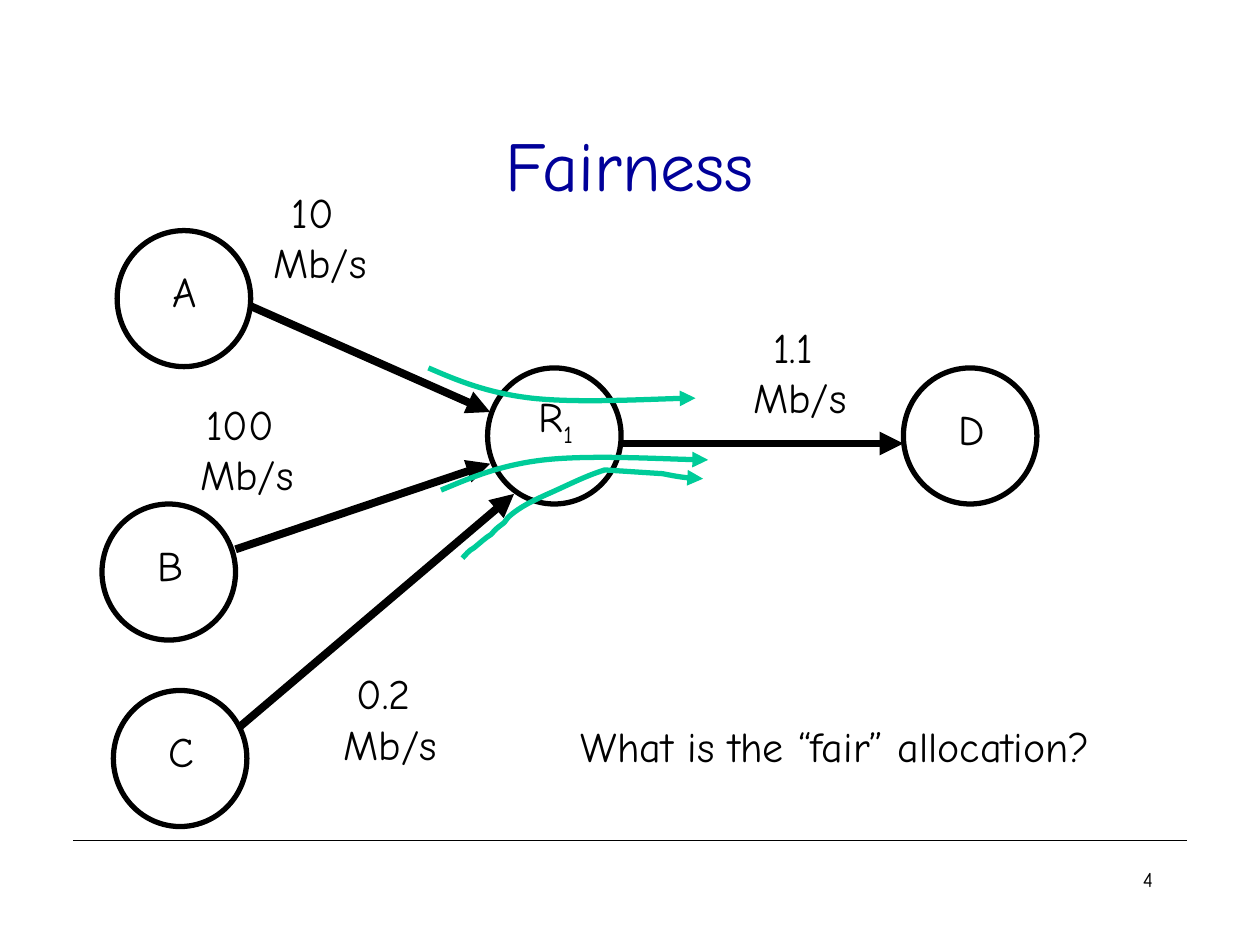
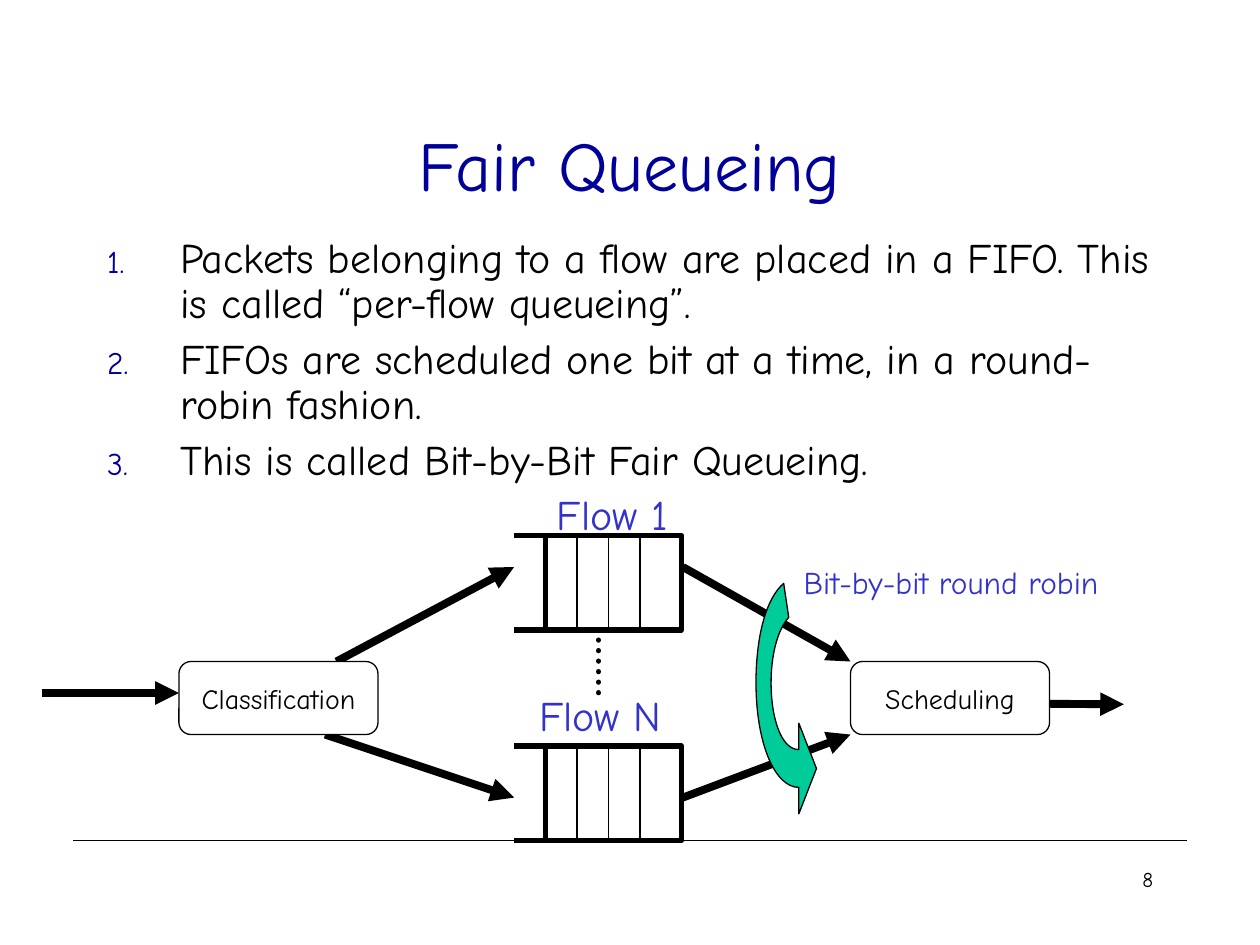
import pptx
import pptx.util
import pptx.dml.color
import pptx.enum.dml
import pptx.enum.shapes
import pptx.enum.text
import pptx.oxml.ns
import pptx.oxml.xmlchemy

Inches, Pt = pptx.util.Inches, pptx.util.Pt
PRESET = pptx.enum.shapes.MSO_SHAPE
ALIGN = pptx.enum.text.PP_ALIGN
ANCHOR = pptx.enum.text.MSO_ANCHOR
qn = pptx.oxml.ns.qn
new_element = pptx.oxml.xmlchemy.OxmlElement

# Shared look
WIDTH, HEIGHT = 10, 7.5
FONT = "Comic Neue"
COLORS = {"ink": "000000", "title": "000099", "flow": "3333CC",
          "green": "00CC99", "paper": "FFFFFF"}
TITLE_BOX = (0.75, 0.67, 8.5, 1.25)
BODY_BOX = (0.75, 1.83, 8.5, 2.08)
NUMBER_BOX = (7.17, 6.83, 2.08, 0.5)
FOOTER_Y, FOOTER_MARGIN = 6.67, 0.58
THIN, OUTLINE, ARROW = 0.75, 3, 4.5

# Content: network of hosts sharing one router
NODE_SIZE = (1.06, 1.08)
LABEL_SIZE = (0.4, 0.5)
NODES = [  # label, subscript, left, top, rise of the label above centre
    ("R", "1", 3.87, 2.92, 0.13), ("D", "", 7.17, 2.92, 0.06),
    ("A", "", 0.93, 1.83, 0.06), ("B", "", 0.81, 4, 0.06),
    ("C", "", 0.9, 5.48, 0.06)]
LINK_FROM_C = ((1.83, 5.83), (4.08, 3.92))
LINKS = [((4.93, 3.52), (7.17, 3.52)), ((1.99, 2.43), (3.89, 3.27)),
         ((1.87, 4.36), (3.89, 3.68))]
RATE_SIZE = (0.94, 0.9)
RATES = [("1.1 ", 5.88, 2.5), ("10 ", 2.07, 1.43),
         ("100 ", 1.49, 3.11), ("0.2 ", 2.63, 5.25)]
QUESTION = ("What is the “fair” allocation?", (4.51, 5.67, 4.24, 0.5))

# Curves: start point, then steps of one point (line) or three (Bezier)
FLOW_B = [(3.5, 3.89), [(3.74, 3.79), (3.97, 3.69), (4.32, 3.65)],
          [(4.68, 3.61), (5.4, 3.65), (5.62, 3.65)]]
FLOW_A = [(3.4, 2.92), [(3.63, 3.02), (3.87, 3.12), (4.22, 3.16)],
          [(4.58, 3.2), (5.3, 3.16), (5.52, 3.16)]]
FLOW_C = [(3.67, 4.43), [(3.7, 4.4), (3.72, 4.37), (3.76, 4.35)],
          [(3.81, 4.31), (3.85, 4.27), (3.9, 4.24)],
          [(3.93, 4.2), (3.96, 4.18), (4, 4.15)],
          [(4.01, 4.14), (4.02, 4.12), (4.04, 4.1)],
          [(4.13, 4.02), (4.24, 3.97), (4.35, 3.92)],
          [(4.51, 3.85), (4.64, 3.78), (4.8, 3.73)],
          [(4.95, 3.74), (5.1, 3.75), (5.26, 3.76)],
          [(5.36, 3.78), (5.47, 3.8), (5.58, 3.8)]]
ROUND_ROBIN = [(6.34, 5.95), [(6.2, 5.95), (6.12, 5.7), (6.12, 5.42)],
               [(6.12, 5.2), (6.17, 5), (6.26, 4.9)], [(6.22, 4.63)],
               [(6.08, 4.75), (6, 5.05), (6, 5.42)],
               [(6, 5.9), (6.15, 6.25), (6.34, 6.25)],
               [(6.34, 6.46)], [(6.48, 6.1)], [(6.34, 5.74)]]
CURVE_GRID = 100  # curve units to the inch

# Content: fair queueing
STEPS = [
    "Packets belonging to a flow are placed in a FIFO. This is called “per-flow queueing”.",
    "FIFOs are scheduled one bit at a time, in a round-robin fashion.",
    "This is called Bit-by-Bit Fair Queueing."]
QUEUE_LEFT, QUEUE_WIDTH, QUEUE_HEIGHT, SLOT = 4.33, 1.08, 0.75, 0.25
QUEUE_TOPS = (5.92, 4.25)
FLOW_NAMES = [("Flow 1", (4.32, 3.83, 1.08, 0.5)),
              ("Flow N", (4.18, 5.42, 1.17, 0.5))]
STAGE_TOP, STAGE_SIZE = 5.25, (1.58, 0.58)
STAGES = [("Classification", 1.42), ("Scheduling", 6.75)]
PACKET_ARROWS = [((5.42, 4.5), (6.75, 5.25)), ((5.42, 6.33), (6.75, 5.83)),
                 ((7.5, 5.58), (8.92, 5.59)), ((2.67, 5.25), (4.08, 4.5)),
                 ((2.58, 5.83), (4.08, 6.33)), ((0.33, 5.5), (1.42, 5.5))]
ROBIN_LABEL = ("Bit-by-bit round robin", (6.28, 4.42, 2.55, 0.4))


def rgb(name):
    return pptx.dml.color.RGBColor.from_string(COLORS[name])


def add_child(parent, tag, **attributes):
    child = new_element(tag)
    for name, value in attributes.items():
        child.set(name, value)
    parent.append(child)
    return child


def place(shape, box):
    shape.left, shape.top, shape.width, shape.height = map(Inches, box)


def write(shape, lines, size=24, color="ink", align=ALIGN.CENTER,
          anchor=ANCHOR.MIDDLE, wrap=False, subscript=""):
    """Fill a shape with one paragraph per line."""
    frame = shape.text_frame
    frame.auto_size = pptx.enum.text.MSO_AUTO_SIZE.NONE
    frame.word_wrap, frame.vertical_anchor = wrap, anchor
    frame.text = "\n".join(lines)
    if subscript:
        run = frame.paragraphs[-1].add_run()
        run.text = subscript
        run.font._element.set("baseline", "-25000")
    for paragraph in frame.paragraphs:
        paragraph.alignment = align
        for run in paragraph.runs:
            run.font.name, run.font.size = FONT, Pt(size)
            run.font.color.rgb = rgb(color)


def add_text(slide, lines, box, **text_format):
    text_box = slide.shapes.add_textbox(*map(Inches, box))
    write(text_box, lines, **text_format)


def style_line(line, width, color="ink", arrow=False, dotted=False):
    line.fill.solid()
    line.fill.fore_color.rgb = rgb(color)
    line.width = Pt(width)
    outline = line._get_or_add_ln()
    if dotted:
        line.dash_style = pptx.enum.dml.MSO_LINE.ROUND_DOT
        outline.set("cap", "rnd")
    if arrow:
        add_child(outline, "a:tailEnd", type="triangle")


def style_shape(shape, fill=None, width=THIN, color="ink", arrow=False):
    shape.shadow.inherit = False
    if fill:
        shape.fill.solid()
        shape.fill.fore_color.rgb = rgb(fill)
    else:
        shape.fill.background()
    style_line(shape.line, width, color, arrow)


def add_line(shapes, start, end, width, **line_format):
    connector = shapes.add_connector(
        pptx.enum.shapes.MSO_CONNECTOR.STRAIGHT, *map(Inches, start + end))
    style_line(connector.line, width, **line_format)
    add_child(connector._element.spPr, "a:effectLst")
    return connector


def add_preset(shapes, preset, box, **shape_format):
    shape = shapes.add_shape(preset, *map(Inches, box))
    style_shape(shape, **shape_format)
    return shape


def add_curve(slide, curve, closed=False, **shape_format):
    start, *steps = curve
    builder = slide.shapes.build_freeform(
        *(CURVE_GRID * value for value in start), scale=Inches(1) / CURVE_GRID)
    builder.add_line_segments(
        [(CURVE_GRID * x, CURVE_GRID * y) for step in steps for x, y in step], close=closed)
    shape = builder.convert_to_shape()
    # Merge each three-point step into one Bezier segment
    segments = iter(list(shape._element.iter(qn("a:lnTo"))))
    for step in steps:
        parts = [next(segments) for _ in step]
        if len(parts) == 3:
            bezier = new_element("a:cubicBezTo")
            parts[0].addprevious(bezier)
            for part in parts:
                bezier.append(part[0])
                part.getparent().remove(part)
    style_shape(shape, **shape_format)


def add_slide(presentation, layout, title, number):
    slide = presentation.slides.add_slide(presentation.slide_layouts[layout])
    place(slide.shapes.title, TITLE_BOX)
    write(slide.shapes.title, [title], size=40, color="title", wrap=True)
    add_text(slide, [number], NUMBER_BOX, size=12, align=ALIGN.RIGHT,
             anchor=ANCHOR.TOP, wrap=True)
    return slide


def add_steps(body):
    place(body, BODY_BOX)
    write(body, STEPS, align=ALIGN.LEFT, anchor=ANCHOR.TOP, wrap=True)
    for paragraph in body.text_frame.paragraphs:
        paragraph.line_spacing, paragraph.space_before = 0.9, Pt(6)
        properties = paragraph._p.get_or_add_pPr()
        properties.set("marL", str(Inches(0.58)))
        properties.set("indent", str(Inches(-0.58)))
        bullet_color = add_child(properties, "a:buClr")
        add_child(bullet_color, "a:srgbClr", val=COLORS["title"])
        add_child(properties, "a:buSzPct", val="75000")
        add_child(properties, "a:buFont", typeface=FONT)
        add_child(properties, "a:buAutoNum", type="arabicPeriod")


def add_queue(slide, top):
    shapes = slide.shapes.add_group_shape().shapes
    bottom = top + QUEUE_HEIGHT
    add_preset(shapes, PRESET.RECTANGLE,
               (QUEUE_LEFT, top, QUEUE_WIDTH, QUEUE_HEIGHT), width=OUTLINE)
    for y in (top, bottom):
        add_line(shapes, (QUEUE_LEFT - SLOT, y), (QUEUE_LEFT + SLOT, y), OUTLINE)
    for slot in (1, 2, 3):
        x = QUEUE_LEFT + slot * SLOT
        add_line(shapes, (x, top), (x, bottom), THIN)


def build_fairness(presentation):
    slide = add_slide(presentation, 5, "Fairness", "4")
    add_line(slide.shapes, *LINK_FROM_C, ARROW, arrow=True)
    for label, subscript, left, top, rise in NODES:
        add_preset(slide.shapes, PRESET.OVAL, (left, top, *NODE_SIZE), width=OUTLINE,
                   fill="paper" if label == "C" else None)
        label_left = left + (NODE_SIZE[0] - LABEL_SIZE[0]) / 2 + 0.01
        label_top = top + (NODE_SIZE[1] - LABEL_SIZE[1]) / 2 - rise
        add_text(slide, [label], (label_left, label_top, *LABEL_SIZE), subscript=subscript)
    for start, end in LINKS:
        add_line(slide.shapes, start, end, ARROW, arrow=True)
    for rate, left, top in RATES:
        add_text(slide, [rate, "Mb/s"], (left, top, *RATE_SIZE))
    for curve in (FLOW_B, FLOW_A, FLOW_C):
        add_curve(slide, curve, width=OUTLINE, color="green", arrow=True)
    question, box = QUESTION
    add_text(slide, [question], box, anchor=ANCHOR.TOP)


def build_fair_queueing(presentation):
    slide = add_slide(presentation, 1, "Fair Queueing", "8")
    add_steps(slide.placeholders[1])
    for start, end in PACKET_ARROWS:
        add_line(slide.shapes, start, end, ARROW, arrow=True)
    for top in QUEUE_TOPS:
        add_queue(slide, top)
    for name, box in FLOW_NAMES:
        add_text(slide, [name], box, color="flow")
    add_curve(slide, ROUND_ROBIN, closed=True, fill="green")
    add_line(slide.shapes, (4.75, 5.08), (4.75, 5.5), OUTLINE, dotted=True)
    for name, left in STAGES:
        stage = add_preset(slide.shapes, PRESET.ROUNDED_RECTANGLE,
                           (left, STAGE_TOP, *STAGE_SIZE), fill="paper")
        write(stage, [name], size=16)
    label, box = ROBIN_LABEL
    add_text(slide, [label], box, size=18, color="flow",
             align=ALIGN.LEFT, anchor=ANCHOR.TOP)


def main():
    presentation = pptx.Presentation()
    presentation.slide_width, presentation.slide_height = Inches(WIDTH), Inches(HEIGHT)
    build_fairness(presentation)
    build_fair_queueing(presentation)
    # The footer rule belongs to the master, so every slide shows it
    rule = add_line(presentation.slides[0].shapes, (FOOTER_MARGIN, FOOTER_Y),
                    (WIDTH - FOOTER_MARGIN, FOOTER_Y), THIN)
    presentation.slide_master.shapes._spTree.append(rule._element)
    presentation.save("out.pptx")


if __name__ == "__main__":
    main()
